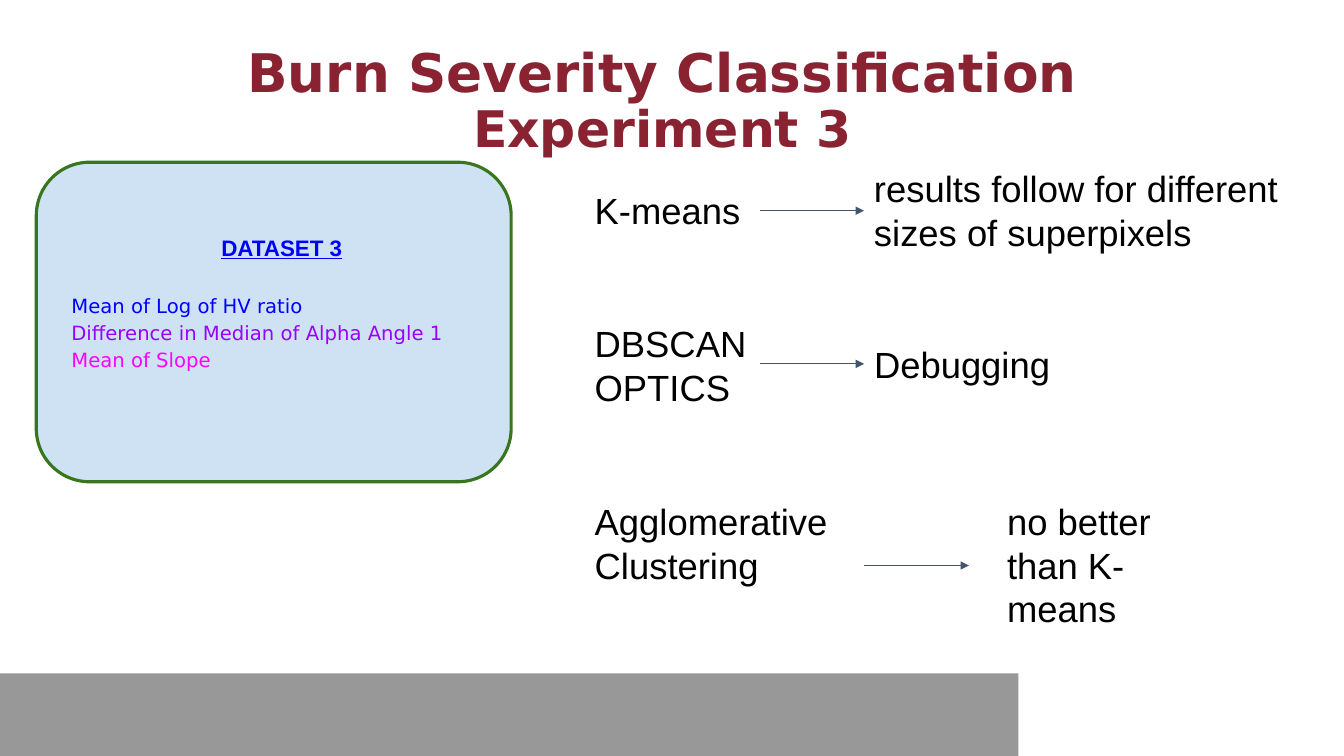
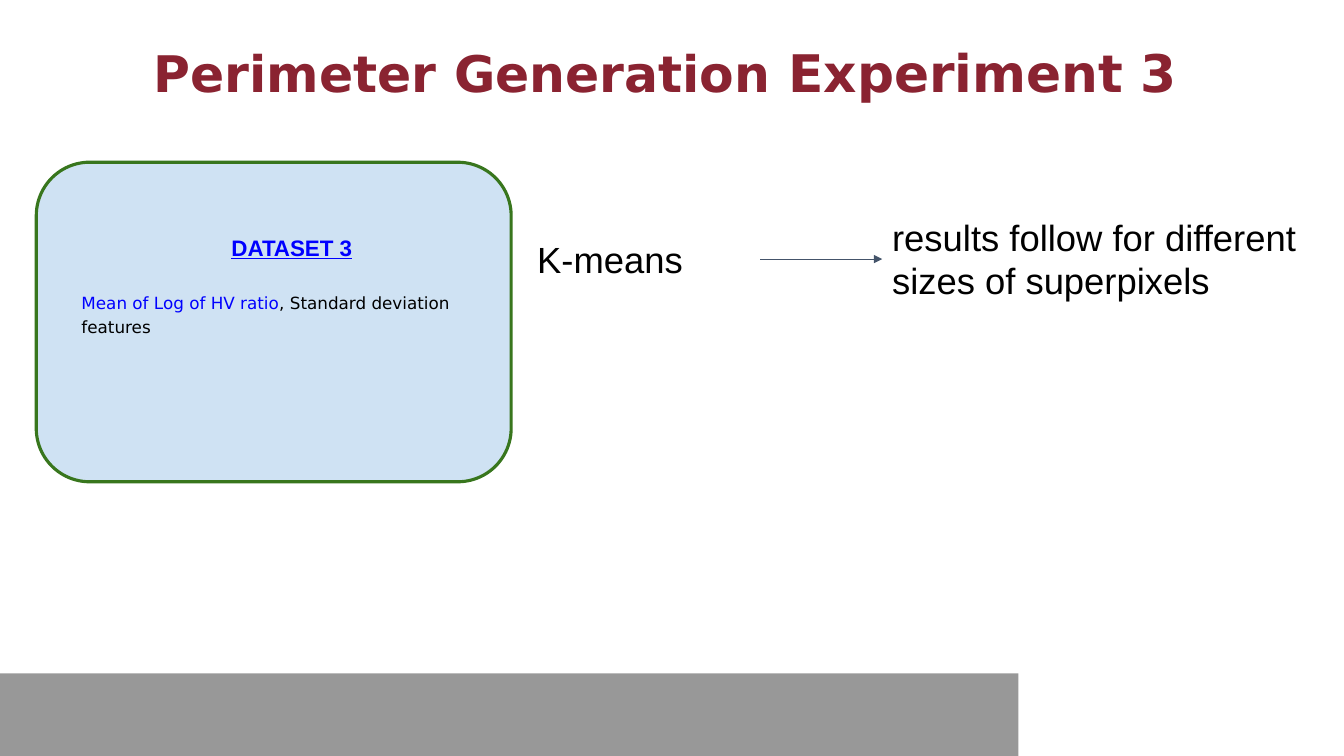
import dataclasses
import typing

import lxml.etree
import pptx
import pptx.dml.color
import pptx.enum.shapes
import pptx.enum.text
import pptx.oxml
import pptx.oxml.ns
import pptx.util

EMU_PER_PX = 9144
SHAPES = pptx.enum.shapes.MSO_SHAPE
ALIGN = pptx.enum.text.PP_ALIGN
MAROON, BLUE, VIOLET, MAGENTA, BLACK = "8A2331", "0000FF", "9900FF", "FF00FF", "000000"
CARD_FILL, CARD_LINE, ARROW_LINE, BAND_FILL = "CFE2F3", "38761D", "44546A", "7F7F7F"
SANS, ARIAL = "DejaVu Sans", "Arial"


@dataclasses.dataclass(frozen=True)
class Span:
    text: str
    size: int
    color: str = BLACK
    font: str = ARIAL
    bold: bool = False
    underline: bool = False


@dataclasses.dataclass(frozen=True)
class Para:
    spans: tuple[Span, ...]
    format: dict[str, typing.Any] = dataclasses.field(default_factory=dict)


@dataclasses.dataclass(frozen=True)
class Box:
    left: int
    top: int
    width: int
    height: int


@dataclasses.dataclass(frozen=True)
class Label:
    box: Box
    lines: tuple[str, ...]


@dataclasses.dataclass(frozen=True)
class Arrow:
    left: int
    right: int
    y: int


@dataclasses.dataclass(frozen=True)
class Page:
    title_box: Box
    title_spans: tuple[Span, ...]
    dataset_box: Box
    features: tuple[tuple[Span, ...], ...]
    labels: tuple[Label, ...]
    arrows: tuple[Arrow, ...]


def px(length: int) -> pptx.util.Emu:
    return pptx.util.Emu(length * EMU_PER_PX)


def rgb(color: str) -> pptx.dml.color.RGBColor:
    return pptx.dml.color.RGBColor.from_string(color)


def edges(box: Box) -> tuple[pptx.util.Emu, ...]:
    return tuple(px(length) for length in dataclasses.astuple(box))


def apply(target: typing.Any, values: dict[str, typing.Any]) -> None:
    for name, value in values.items():
        setattr(target, name, value)


def title_span(text: str, size: int) -> Span:
    return Span(text, size, MAROON, SANS, bold=True)


def write(frame: typing.Any, paras: typing.Sequence[Para], inset_y: int = 10) -> None:
    """Fill a text frame with formatted paragraphs."""
    apply(frame, {
        "word_wrap": True,
        "auto_size": pptx.enum.text.MSO_AUTO_SIZE.NONE,
        "vertical_anchor": pptx.enum.text.MSO_ANCHOR.TOP,
        "margin_left": px(10), "margin_right": px(10),
        "margin_top": px(inset_y), "margin_bottom": px(inset_y),
    })
    for index, para in enumerate(paras):
        paragraph = frame.add_paragraph() if index else frame.paragraphs[0]
        apply(paragraph, para.format)
        for span in para.spans:
            run = paragraph.add_run()
            run.text = span.text
            apply(run.font, {
                "name": span.font, "size": pptx.util.Pt(span.size),
                "bold": span.bold, "underline": span.underline,
            })
            run.font.color.rgb = rgb(span.color)


def add_text(slide: typing.Any, box: Box, paras: typing.Sequence[Para]) -> None:
    write(slide.shapes.add_textbox(*edges(box)).text_frame, paras)


def add_filled(slide: typing.Any, kind: typing.Any, box: Box, color: str) -> typing.Any:
    shape = slide.shapes.add_shape(kind, *edges(box))
    shape.shadow.inherit = False
    shape.fill.solid()
    shape.fill.fore_color.rgb = rgb(color)
    return shape


def add_band(slide: typing.Any) -> None:
    """Put the translucent footer band on the layout of the slide."""
    band = add_filled(slide, SHAPES.RECTANGLE, Box(0, 668, 1010, 82), BAND_FILL)
    band.line.fill.background()
    color = band.element.spPr.find(".//" + pptx.oxml.ns.qn("a:srgbClr"))
    lxml.etree.SubElement(color, pptx.oxml.ns.qn("a:alpha"), val="80000")
    slide.slide_layout.shapes.element.append(band.element)


def add_card(slide: typing.Any) -> None:
    card = add_filled(slide, SHAPES.ROUNDED_RECTANGLE, Box(36, 161, 471, 317), CARD_FILL)
    card.adjustments[0] = 0.167
    card.line.color.rgb = rgb(CARD_LINE)
    card.line.width = pptx.util.Pt(2.25)


def add_arrow(slide: typing.Any, arrow: Arrow) -> None:
    connector = slide.shapes.add_connector(
        pptx.enum.shapes.MSO_CONNECTOR.STRAIGHT,
        px(arrow.left), px(arrow.y), px(arrow.right), px(arrow.y))
    connector.line.color.rgb = rgb(ARROW_LINE)
    connector.line.width = pptx.util.Pt(0.75)
    qn = pptx.oxml.ns.qn
    properties = connector.element.spPr
    lxml.etree.SubElement(properties.find(qn("a:ln")), qn("a:tailEnd"), type="triangle")
    lxml.etree.SubElement(properties, qn("a:effectLst"))


def dataset_paras(features: tuple[tuple[Span, ...], ...]) -> list[Para]:
    heading = Span("DATASET 3", 16, BLUE, bold=True, underline=True)
    paras = [Para((heading,), {"alignment": ALIGN.CENTER, "line_spacing": 1.15})]
    for index, spans in enumerate(features):
        gap = pptx.util.Pt(0 if index else 21)
        paras.append(Para(spans, {"line_spacing": 1.15, "space_before": gap}))
    return paras


def add_page(slide: typing.Any, page: Page) -> None:
    title = slide.shapes.title
    names = ("left", "top", "width", "height")
    apply(title, dict(zip(names, edges(page.title_box))))
    title_format = {"alignment": ALIGN.CENTER, "line_spacing": 0.9,
                    "space_before": pptx.util.Pt(0)}
    write(title.text_frame, [Para(page.title_spans, title_format)], inset_y=5)
    add_card(slide)
    add_text(slide, page.dataset_box, dataset_paras(page.features))
    for label in page.labels:
        add_text(slide, label.box, [Para((Span(line, 26),)) for line in label.lines])
    for arrow in page.arrows:
        add_arrow(slide, arrow)


RESULTS = ("results follow for different sizes of superpixels",)
PAGES = (
    Page(
        Box(73, 41, 1168, 119),
        (title_span("Burn Severity Classification ", 38), title_span("Experiment 3", 36)),
        Box(61, 218, 437, 160),
        (
            (Span("Mean of Log of HV ratio", 14, BLUE, SANS),),
            (Span("Difference in Median of Alpha Angle 1", 14, VIOLET, SANS),),
            (Span("Mean of Slope", 14, MAGENTA, SANS),),
        ),
        (
            Label(Box(580, 177, 174, 64), ("K-means",)),
            Label(Box(857, 155, 437, 108), RESULTS),
            Label(Box(580, 309, 174, 108), ("DBSCAN", "OPTICS")),
            Label(Box(857, 329, 208, 64), ("Debugging",)),
            Label(Box(580, 485, 309, 108), ("Agglomerative Clustering",)),
            Label(Box(989, 485, 174, 152), ("no better than K-means",)),
        ),
        (Arrow(754, 857, 209), Arrow(754, 857, 361), Arrow(857, 961, 561)),
    ),
    Page(
        Box(76, 42, 1168, 119),
        (title_span("Perimeter Generation ", 36), title_span("Experiment 3", 37)),
        Box(71, 218, 437, 126),
        ((Span("Mean of Log of HV ratio", 12, BLUE, SANS),
          Span(", Standard deviation features", 12, BLACK, SANS)),),
        (
            Label(Box(523, 225, 231, 64), ("K-means",)),
            Label(Box(875, 203, 437, 108), RESULTS),
        ),
        (Arrow(754, 875, 257),),
    ),
)


def main() -> None:
    deck = pptx.Presentation()
    apply(deck, {"slide_width": px(1333), "slide_height": px(750)})
    title_only = deck.slide_layouts[5]
    slides = [deck.slides.add_slide(title_only) for _ in PAGES]
    add_band(slides[0])
    for slide, page in zip(slides, PAGES):
        add_page(slide, page)
    deck.save("out.pptx")


if __name__ == "__main__":
    main()
